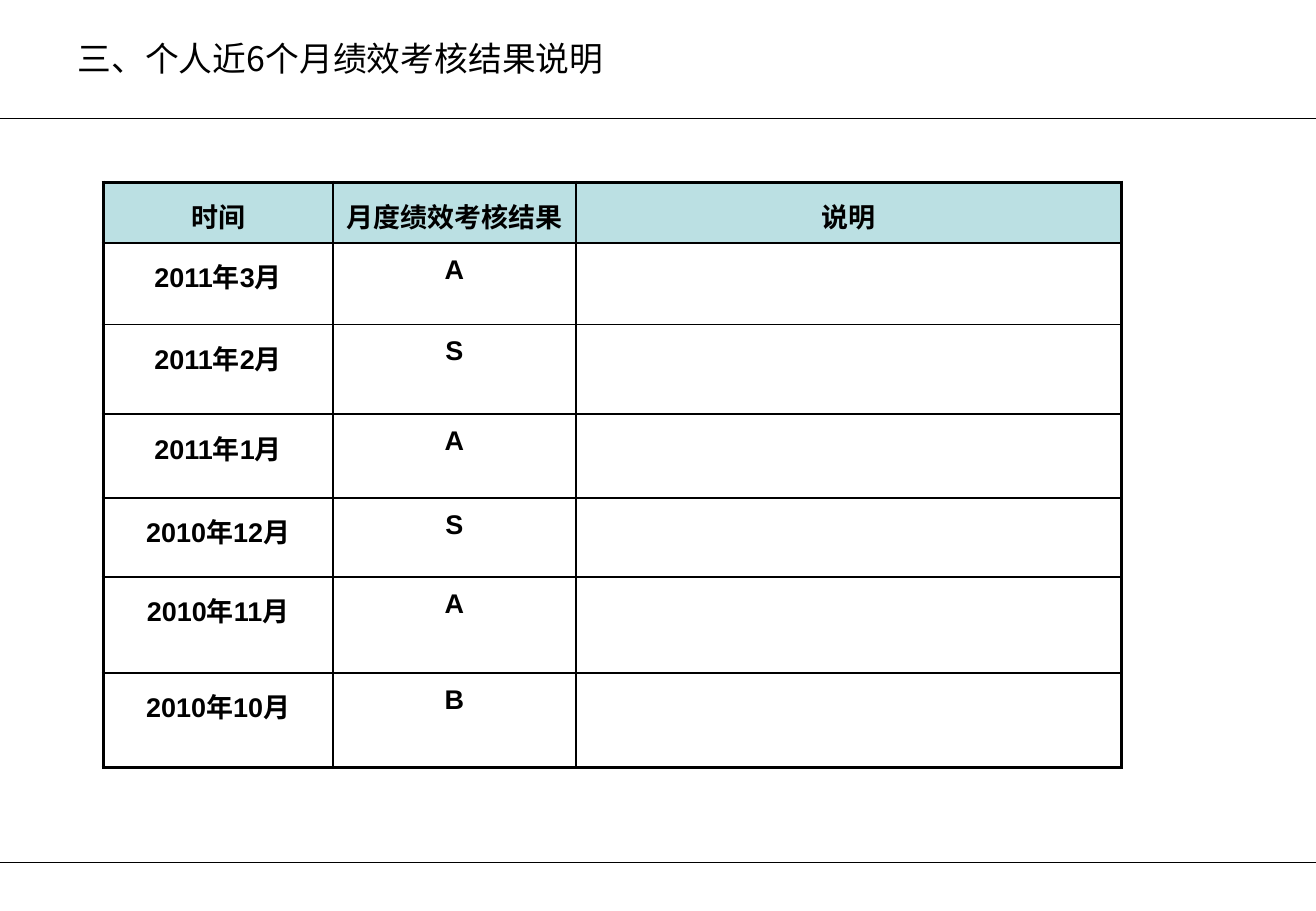
from lxml.etree import SubElement
from pptx import Presentation
from pptx.dml.color import RGBColor
from pptx.enum.shapes import MSO_CONNECTOR
from pptx.enum.text import MSO_ANCHOR, PP_ALIGN
from pptx.oxml import parse_xml
from pptx.oxml.ns import nsdecls, qn
from pptx.util import Inches, Pt

SLIDE_WIDTH, SLIDE_HEIGHT = 10.83, 7.5
COLUMN_WIDTHS = [1.89, 2, 4.49]
ROW_HEIGHTS = [0.5, 0.67, 0.74, 0.69, 0.65, 0.79, 0.78]
REVIEW_ROWS = [
    ["时间", "月度绩效考核结果", "说明"],
    ["2011年3月", "A", ""],
    ["2011年2月", "S", ""],
    ["2011年1月", "A", ""],
    ["2010年12月", "S", ""],
    ["2010年11月", "A", ""],
    ["2010年10月", "B", ""],
]


def color(hex_string):
    return RGBColor.from_string(hex_string)


class ReviewSlide:
    INK = "000000"
    HEADER_FILL = "BBE0E3"
    LATIN_FONT = "Arial"
    CHINESE_FONT = "Noto Sans CJK SC"
    OUTER_BORDER, INNER_BORDER = 2.25, 1

    def __init__(self, presentation):
        self.slide = presentation.slides.add_slide(presentation.slide_layouts[6])

    def add_run(self, paragraph, text, size, font, bold=False):
        run = paragraph.add_run()
        run.text = text
        run.font.size = Pt(size)
        run.font.name = font
        run.font.bold = bold
        run.font.color.rgb = color(self.INK)
        SubElement(run.font._element, qn("a:ea"), typeface=self.CHINESE_FONT)

    def add_rule(self, top):
        """Draw a hairline across the full slide width."""
        rule = self.slide.shapes.add_connector(
            MSO_CONNECTOR.STRAIGHT, 0, Inches(top), Inches(SLIDE_WIDTH), Inches(top))
        rule.line.color.rgb = color(self.INK)
        rule.line.width = Pt(0.25)
        SubElement(rule._element.spPr, qn("a:effectLst"))

    def add_title(self, text, left, top, width, height):
        box = self.slide.shapes.add_textbox(
            Inches(left), Inches(top), Inches(width), Inches(height))
        frame = box.text_frame
        frame.word_wrap = True
        frame.vertical_anchor = MSO_ANCHOR.TOP
        frame.margin_top = Inches(0.01)
        paragraph = frame.paragraphs[0]
        paragraph.alignment = PP_ALIGN.JUSTIFY
        self.add_run(paragraph, text, 20, self.CHINESE_FONT)

    def set_borders(self, cell, outer_sides):
        """Give a cell thick lines on its outer sides and thin ones elsewhere."""
        properties = cell._tc.get_or_add_tcPr()
        for index, side in enumerate("LRTB"):
            width = self.OUTER_BORDER if side in outer_sides else self.INNER_BORDER
            properties.insert(index, parse_xml(
                f'<a:ln{side} {nsdecls("a")} w="{Pt(width)}"><a:solidFill>'
                f'<a:srgbClr val="{self.INK}"/></a:solidFill></a:ln{side}>'))

    def add_table(self, rows, left, top, column_widths, row_heights):
        table = self.slide.shapes.add_table(
            len(rows), len(column_widths), Inches(left), Inches(top),
            Inches(sum(column_widths)), Inches(sum(row_heights))).table
        table.first_row = table.horz_banding = False
        for column, width in zip(table.columns, column_widths):
            column.width = Inches(width)
        for row, height in zip(table.rows, row_heights):
            row.height = Inches(height)
        last_row, last_column = len(rows) - 1, len(column_widths) - 1
        for row_index, texts in enumerate(rows):
            for column_index, text in enumerate(texts):
                cell = table.cell(row_index, column_index)
                if row_index == 0:
                    cell.fill.solid()
                    cell.fill.fore_color.rgb = color(self.HEADER_FILL)
                else:
                    cell.fill.background()
                edges = {"L": column_index == 0, "R": column_index == last_column,
                         "T": row_index == 0, "B": row_index == last_row}
                self.set_borders(cell, [side for side, outer in edges.items() if outer])
                if text:
                    paragraph = cell.text_frame.paragraphs[0]
                    paragraph.alignment = PP_ALIGN.CENTER
                    paragraph.line_spacing = 1.2
                    self.add_run(paragraph, text, 16, self.LATIN_FONT, bold=True)


def main():
    presentation = Presentation()
    presentation.slide_width = Inches(SLIDE_WIDTH)
    presentation.slide_height = Inches(SLIDE_HEIGHT)
    review = ReviewSlide(presentation)
    for top in (0.97, 7.1):
        review.add_rule(top)
    review.add_title("三、个人近6个月绩效考核结果说明", 0.54, 0.3, 7.49, 0.59)
    review.add_table(REVIEW_ROWS, 0.85, 1.5, COLUMN_WIDTHS, ROW_HEIGHTS)
    presentation.save("out.pptx")


if __name__ == "__main__":
    main()
